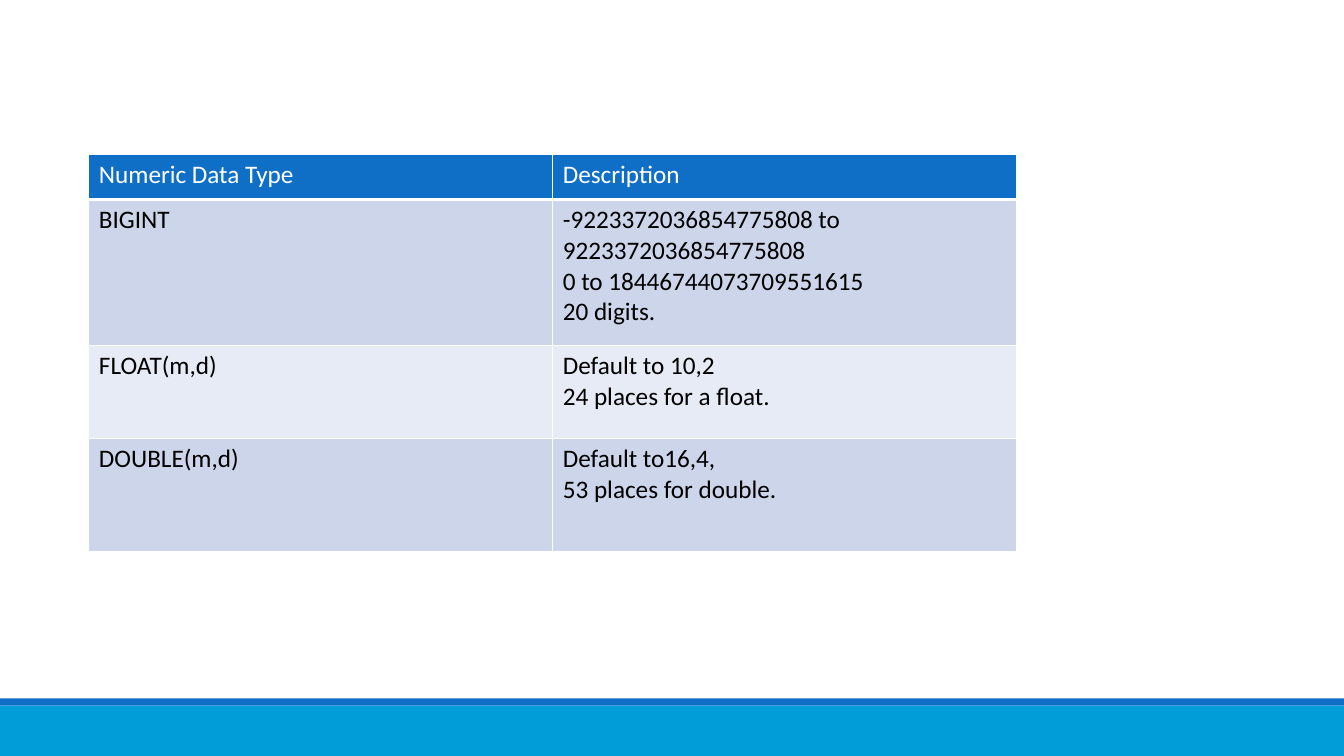
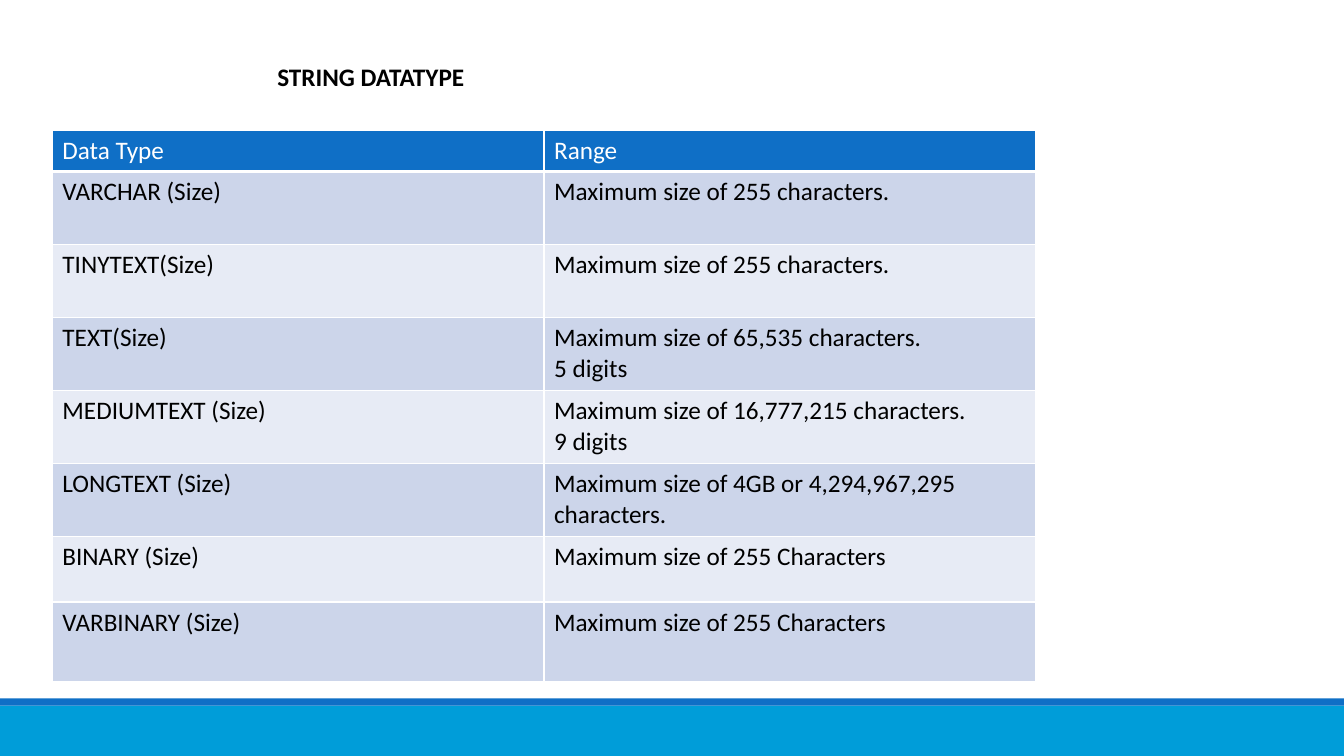
import pptx
import pptx.dml.color
import pptx.enum.shapes
import pptx.enum.text
import pptx.oxml
import pptx.oxml.ns
import pptx.util

Cm = pptx.util.Cm
Pt = pptx.util.Pt

COLOURS = {
    "white": "FFFFFF",
    "black": "000000",
    "blue": "0F6FC6",
    "cyan": "009DD9",
    "odd row": "CCD5EA",
    "even row": "E7EBF5",
}
FONT = "Calibri"
SLIDE_WIDTH, SLIDE_HEIGHT = 33.87, 19.05


def paint(fill, colour):
    fill.solid()
    fill.fore_color.rgb = pptx.dml.color.RGBColor.from_string(COLOURS[colour])


def write(frame, text, colour="black", bold=False, align=None):
    """Fill a text frame, one paragraph for each line of text."""
    frame.text = text
    for para in frame.paragraphs:
        para.alignment = align
        for span in para.runs:
            span.font.name = FONT
            span.font.size = Pt(18)
            span.font.bold = bold
            paint(span.font.fill, colour)


deck = pptx.Presentation()
deck.slide_width = Cm(SLIDE_WIDTH)
deck.slide_height = Cm(SLIDE_HEIGHT)

pages = [
    {
        "left": 2.24, "top": 3.89, "column": 11.69,
        "heights": [1.14, 3.68, 2.34, 2.84],
        "rows": [
            ("Numeric Data Type", "Description"),
            ("BIGINT", "-9223372036854775808 to 9223372036854775808\n"
                       "0 to 18446744073709551615\n20 digits."),
            ("FLOAT(m,d)", "Default to 10,2\n24 places for a float."),
            ("DOUBLE(m,d)", "Default to16,4,\n53 places for double."),
        ],
    },
    {
        "title": "STRING DATATYPE",
        "left": 1.32, "top": 3.28, "column": 12.39,
        "heights": [1.04] + [1.84] * 5 + [1.65, 2.01],
        "rows": [
            ("Data Type", "Range"),
            ("VARCHAR (Size)", "Maximum size of 255 characters."),
            ("TINYTEXT(Size)", "Maximum size of 255 characters."),
            ("TEXT(Size)", "Maximum size of 65,535 characters.\n5 digits"),
            ("MEDIUMTEXT (Size)", "Maximum size of 16,777,215 characters.\n9 digits"),
            ("LONGTEXT (Size)", "Maximum size of 4GB or 4,294,967,295 characters."),
            ("BINARY (Size)", "Maximum size of 255 Characters"),
            ("VARBINARY (Size)", "Maximum size of 255 Characters"),
        ],
    },
]

title_only, blank = deck.slide_layouts[5], deck.slide_layouts[6]
for content in pages:
    page = deck.slides.add_slide(title_only if "title" in content else blank)

    if "title" in content:
        title = page.shapes.title
        title.left, title.top = Cm(1.42), Cm(1.17)
        title.width, title.height = Cm(15.85), Cm(1.52)
        paint(title.fill, "white")
        title.text_frame.vertical_anchor = pptx.enum.text.MSO_ANCHOR.MIDDLE
        write(title.text_frame, content["title"], bold=True,
              align=pptx.enum.text.PP_ALIGN.CENTER)

    rows, heights = content["rows"], content["heights"]
    table = page.shapes.add_table(
        len(rows), 2, Cm(content["left"]), Cm(content["top"]),
        Cm(2 * content["column"]), Cm(sum(heights))).table
    for column in table.columns:
        column.width = Cm(content["column"])
    for index, (texts, height) in enumerate(zip(rows, heights)):
        header = index == 0
        table.rows[index].height = Cm(height)
        for cell, text in zip(table.rows[index].cells, texts):
            properties = cell._tc.get_or_add_tcPr()
            for side in "LRTB":
                width = Pt(3 if header and side == "B" else 1)
                properties.append(pptx.oxml.parse_xml(
                    f'<a:ln{side} {pptx.oxml.ns.nsdecls("a")} w="{width}"><a:solidFill>'
                    f'<a:srgbClr val="{COLOURS["white"]}"/></a:solidFill></a:ln{side}>'))
            stripe = "odd row" if index % 2 else "even row"
            paint(cell.fill, "blue" if header else stripe)
            write(cell.text_frame, text, colour="white" if header else "black")

# Both bands belong to the master, so every slide shows them
first_page = deck.slides[0]
master_tree = deck.slide_master.shapes.element
for colour, top, height in [("cyan", 17.78, 1.27), ("blue", 17.6, 0.18)]:
    band = first_page.shapes.add_shape(
        pptx.enum.shapes.MSO_SHAPE.RECTANGLE, 0, Cm(top), Cm(SLIDE_WIDTH), Cm(height))
    band.shadow.inherit = False
    paint(band.fill, colour)
    band.line.fill.background()
    master_tree.append(band.element)

deck.save("out.pptx")
